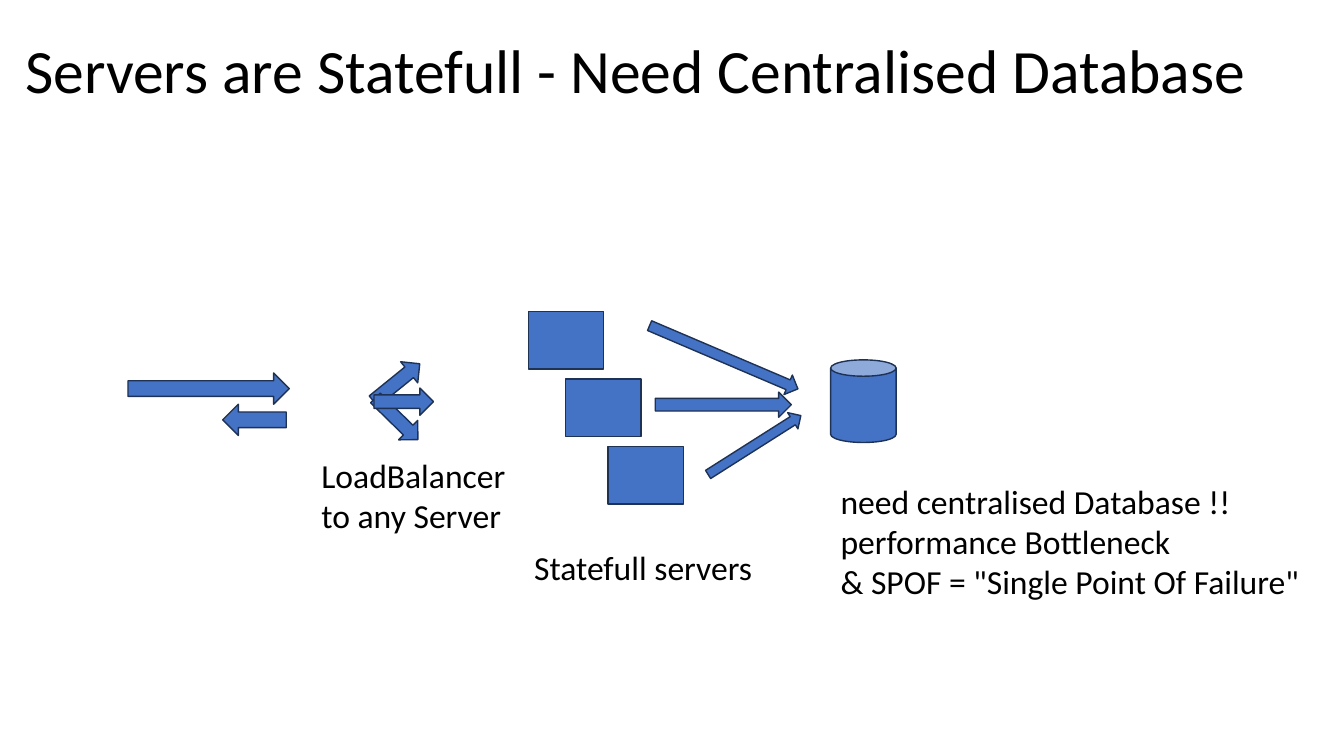
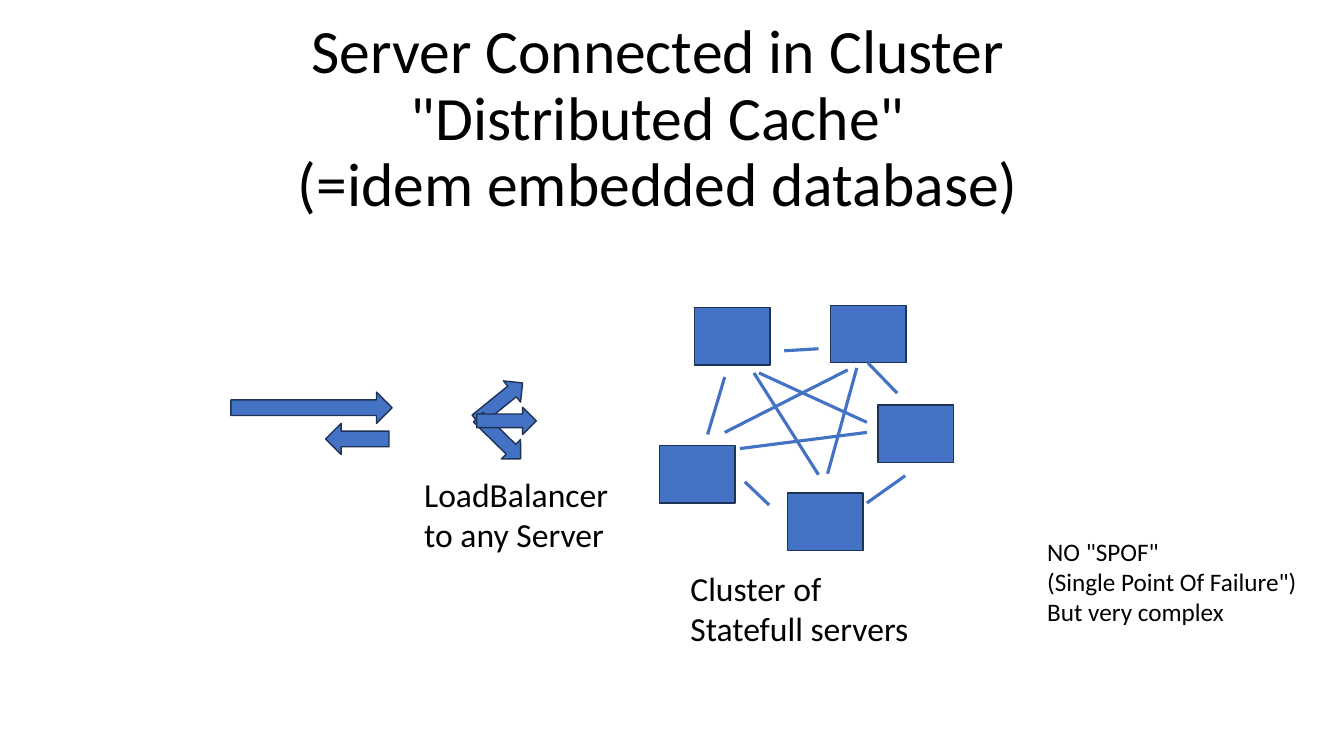
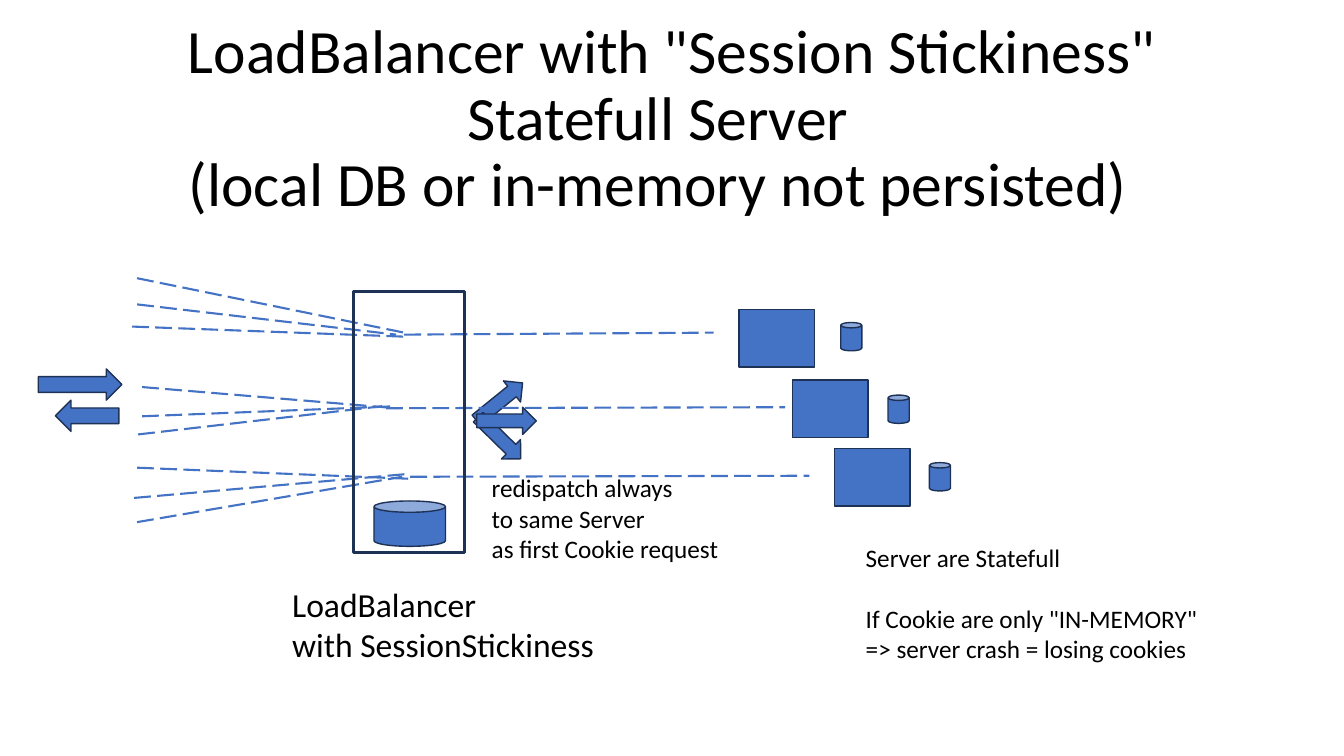
from typing import NamedTuple

from lxml.etree import SubElement
from pptx import Presentation
from pptx.dml.color import RGBColor
from pptx.enum.dml import MSO_LINE
from pptx.enum.shapes import MSO_CONNECTOR, MSO_SHAPE
from pptx.enum.text import MSO_ANCHOR, MSO_AUTO_SIZE, PP_ALIGN
from pptx.oxml.ns import qn
from pptx.shapes.autoshape import Shape
from pptx.slide import Slide
from pptx.text.text import TextFrame
from pptx.util import Inches, Length, Pt

COLORS = {"fill": "4472C4", "outline": "1E3256", "text": "000000"}
FONT = "Calibri"
CELLS_PER_INCH = 10
SLIDE_COLUMNS, SLIDE_ROWS = 133.33, 75
SERVER_SIZE = (7.5, 5.7)
SMALL_CAN_SIZE = (2.1, 2.8)


class Box(NamedTuple):
    column: float
    row: float
    columns: float
    rows: float


class Arrow(NamedTuple):
    box: Box
    rotation: float = 0


class Link(NamedTuple):
    from_column: float
    from_row: float
    to_column: float
    to_row: float


class StatefulServer(NamedTuple):
    column: float
    row: float
    can_column: float
    can_row: float


WIDE_TITLE = Box(1.5, 0, 131.8, 14.5)
TALL_TITLE = Box(9.2, 1.6, 115, 20.7)
FAN_ARROWS = [
    Arrow(Box(0, 0, 5.9, 2.7), 321),
    Arrow(Box(0, 3.6, 5.9, 2.7), 44.4),
    Arrow(Box(0.7, 1.9, 5.9, 2.7)),
]
DATABASE_ARROWS = [
    Arrow(Box(63.8, 34.4, 16, 2.1), 23.1),
    Arrow(Box(65, 38.9, 13.5, 2.5)),
    Arrow(Box(69.4, 43.2, 10.9, 1.9), 327.6),
]
CLUSTER_SERVERS = [(68.9, 30.5), (65.4, 44.2), (78.1, 48.9), (87.1, 40.2), (82.4, 30.3)]
CLUSTER_LINKS = [
    Link(74.8, 37, 81.2, 47.1),
    Link(75.3, 37, 86, 41.9),
    Link(71.9, 37.4, 70.2, 43.1),
    Link(77.8, 34.8, 81.2, 34.6),
    Link(89, 39, 86.1, 36),
    Link(89.8, 47.2, 86, 49.9),
    Link(73.9, 47.8, 76.3, 50.1),
    Link(84.1, 36.7, 71.9, 42.9),
    Link(86, 42.9, 73.4, 44.5),
    Link(85, 36.5, 82.1, 47),
]
STICKY_SERVERS = [
    StatefulServer(73.3, 30.7, 83.4, 32),
    StatefulServer(78.6, 37.7, 88.1, 39.2),
    StatefulServer(82.8, 44.5, 92.2, 45.9),
]
SESSION_LINKS = [
    Link(13.6, 27.6, 40.1, 33),
    Link(13.6, 30.2, 39.3, 33.2),
    Link(13.1, 32.4, 40.1, 33.4),
    Link(40.1, 33.2, 70.8, 33),
    Link(14.1, 38.4, 39.3, 40.5),
    Link(14.1, 41.3, 39.3, 40.3),
    Link(13.7, 43.1, 37.9, 40.3),
    Link(38.3, 40.5, 77.9, 40.4),
    Link(13.6, 46.4, 40.7, 47.5),
    Link(13.3, 49.4, 40.7, 47),
    Link(13.6, 51.8, 39.9, 47.3),
    Link(40.7, 47.3, 80.3, 47.2),
]


def cells(count: float) -> Length:
    return Inches(count / CELLS_PER_INCH)


def color(name: str) -> RGBColor:
    return RGBColor.from_string(COLORS[name])


def write(frame: TextFrame, lines: list[str], *, size: float,
          align: PP_ALIGN = PP_ALIGN.LEFT, line_spacing: float = 1.0,
          space_before: dict[int, float] | None = None,
          right_margins: dict[int, float] | None = None) -> None:
    for index, line in enumerate(lines):
        paragraph = frame.paragraphs[0] if index == 0 else frame.add_paragraph()
        paragraph.text = line
        paragraph.alignment = align
        paragraph.line_spacing = line_spacing
        if space_before and index in space_before:
            paragraph.space_before = Pt(space_before[index])
        if right_margins and index in right_margins:
            properties = paragraph._p.get_or_add_pPr()
            properties.set("marR", str(cells(right_margins[index])))
        paragraph.font.size = Pt(size)
        paragraph.font.name = FONT
        paragraph.font.color.rgb = color("text")


def add_titled_slide(presentation: Presentation, box: Box, lines: list[str],
                     align: PP_ALIGN = PP_ALIGN.CENTER,
                     right_margins: dict[int, float] | None = None) -> Slide:
    slide = presentation.slides.add_slide(presentation.slide_layouts[5])
    title = slide.shapes.title
    title.left, title.top, title.width, title.height = map(cells, box)
    frame = title.text_frame
    frame.auto_size = MSO_AUTO_SIZE.NONE
    frame.vertical_anchor = MSO_ANCHOR.MIDDLE
    write(frame, lines, size=44, align=align, line_spacing=0.9,
          right_margins=right_margins)
    return slide


def add_label(slide: Slide, box: Box, lines: list[str], size: float = 24,
              wrap: bool = False,
              space_before: dict[int, float] | None = None) -> None:
    frame = slide.shapes.add_textbox(*map(cells, box)).text_frame
    frame.word_wrap = wrap
    frame.auto_size = MSO_AUTO_SIZE.SHAPE_TO_FIT_TEXT
    write(frame, lines, size=size, space_before=space_before)


def add_figure(slide: Slide, kind: MSO_SHAPE, box: Box, rotation: float = 0,
               filled: bool = True, line_width: float = 1) -> Shape:
    shape = slide.shapes.add_shape(kind, *map(cells, box))
    shape.shadow.inherit = False
    shape.rotation = rotation
    if filled:
        shape.fill.solid()
        shape.fill.fore_color.rgb = color("fill")
    else:
        shape.fill.background()
    shape.line.color.rgb = color("outline")
    shape.line.width = Pt(line_width)
    return shape


def add_server(slide: Slide, column: float, row: float) -> None:
    add_figure(slide, MSO_SHAPE.RECTANGLE, Box(column, row, *SERVER_SIZE))


def add_arrows(slide: Slide, arrows: list[Arrow], column: float = 0,
               row: float = 0) -> None:
    for box, rotation in arrows:
        moved = box._replace(column=box.column + column, row=box.row + row)
        add_figure(slide, MSO_SHAPE.RIGHT_ARROW, moved, rotation)


def add_links(slide: Slide, links: list[Link], width: float,
              dash: MSO_LINE = MSO_LINE.SOLID) -> None:
    for link in links:
        connector = slide.shapes.add_connector(MSO_CONNECTOR.STRAIGHT, *map(cells, link))
        connector.line.color.rgb = color("fill")
        connector.line.width = Pt(width)
        connector.line.dash_style = dash
        SubElement(connector._element.spPr, qn("a:effectLst"))


def add_request_and_reply(slide: Slide, column: float, row: float,
                          request_columns: float) -> None:
    reply_column = column + request_columns - 6.6
    add_figure(slide, MSO_SHAPE.RIGHT_ARROW, Box(column, row, request_columns, 3.1))
    add_figure(slide, MSO_SHAPE.LEFT_ARROW, Box(reply_column, row + 3.1, 6.3, 3.1))


def add_load_balancer(slide: Slide, column: float, row: float) -> None:
    add_request_and_reply(slide, column - 23.7, row + 0.4, 16)
    add_arrows(slide, FAN_ARROWS, column, row)
    add_label(slide, Box(column - 5.5, row + 8, 20.5, 9.1),
              ["LoadBalancer", "to any Server"])


def build_centralised_slide(presentation: Presentation) -> None:
    slide = add_titled_slide(
        presentation, WIDE_TITLE,
        ["Servers are Statefull - Need Centralised Database"], PP_ALIGN.LEFT)
    for column, row in [(52.4, 30.9), (56.1, 37.6), (60.3, 44.3)]:
        add_server(slide, column, row)
    add_load_balancer(slide, 36.4, 36.6)
    add_arrows(slide, DATABASE_ARROWS)
    add_figure(slide, MSO_SHAPE.CAN, Box(82.4, 35.7, 6.5, 8.2))
    add_label(slide, Box(82.4, 47.2, 47.9, 13.1),
              ["need centralised Database !!", "performance Bottleneck",
               '& SPOF = "Single Point Of Failure"'])
    add_label(slide, Box(52, 53.8, 23.9, 5), ["Statefull servers"])


def build_cluster_slide(presentation: Presentation) -> None:
    slide = add_titled_slide(
        presentation, TALL_TITLE,
        ["Server Connected in Cluster", '"Distributed Cache"',
         "(=idem embedded database)"], right_margins={0: 2.8})
    for column, row in CLUSTER_SERVERS:
        add_server(slide, column, row)
    add_load_balancer(slide, 46.6, 38.5)
    add_links(slide, CLUSTER_LINKS, 2.25)
    add_label(slide, Box(67.5, 55.8, 23.9, 9.1), ["Cluster of", "Statefull servers"])
    add_label(slide, Box(102.9, 52.7, 27.1, 10.1),
              ['NO "SPOF"', '(Single Point Of Failure")', "But very complex"], size=18)


def build_sticky_slide(presentation: Presentation) -> None:
    slide = add_titled_slide(
        presentation, TALL_TITLE,
        ['LoadBalancer with "Session Stickiness"', "Statefull Server",
         "(local DB or in-memory not persisted)"], right_margins={1: 2.8})
    add_request_and_reply(slide, 3.8, 36.6, 8.3)
    add_arrows(slide, FAN_ARROWS, 46.6, 38.5)
    for server in STICKY_SERVERS:
        add_server(slide, server.column, server.row)
        add_figure(slide, MSO_SHAPE.CAN,
                   Box(server.can_column, server.can_row, *SMALL_CAN_SIZE))
    add_links(slide, SESSION_LINKS, 1.5, MSO_LINE.LONG_DASH)
    add_figure(slide, MSO_SHAPE.RECTANGLE, Box(35.1, 28.9, 11, 25.9),
               filled=False, line_width=2.25)
    add_figure(slide, MSO_SHAPE.CAN, Box(37.1, 49.7, 7.1, 4.5))
    add_label(slide, Box(28, 57.4, 32.2, 9.1), ["LoadBalancer", "with SessionStickiness"])
    add_label(slide, Box(47.8, 46.4, 25.6, 10.1),
              ["redispatch always", "to same Server", "as first Cookie request"],
              size=18, wrap=True)
    add_label(slide, Box(84.9, 53.3, 35.3, 13.1),
              ["Server are Statefull", 'If Cookie are only "IN-MEMORY"',
               "=> server crash = losing cookies"], size=18, space_before={1: 22})


def main() -> None:
    presentation = Presentation()
    presentation.slide_width = cells(SLIDE_COLUMNS)
    presentation.slide_height = cells(SLIDE_ROWS)
    build_centralised_slide(presentation)
    build_cluster_slide(presentation)
    build_sticky_slide(presentation)
    presentation.save("out.pptx")


if __name__ == "__main__":
    main()
